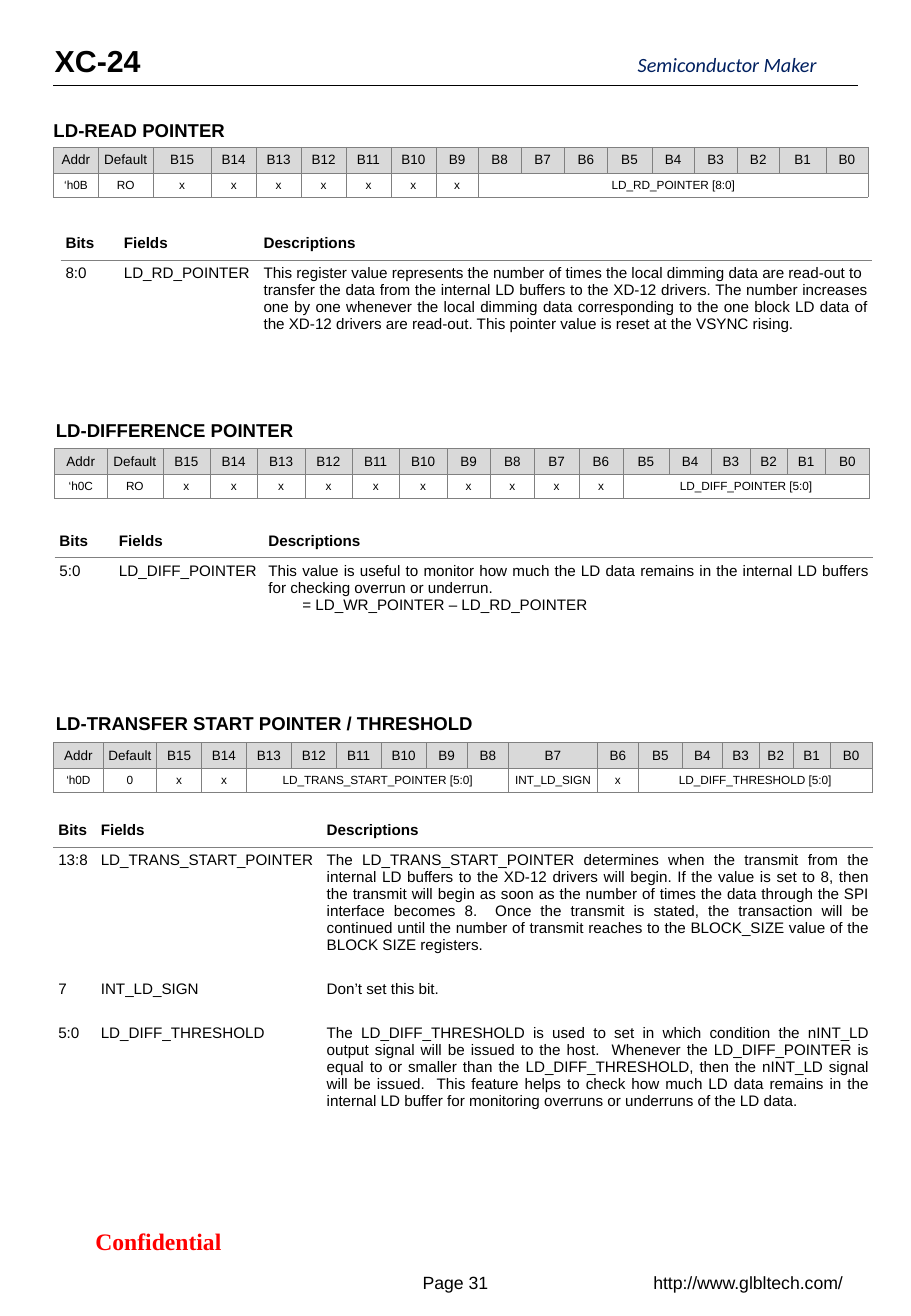
from dataclasses import dataclass

import pptx
import pptx.dml.color
import pptx.enum.shapes
import pptx.enum.text
import pptx.oxml
import pptx.oxml.ns
import pptx.util
from pptx.util import Inches

ALIGN = pptx.enum.text.PP_ALIGN
ANCHOR = pptx.enum.text.MSO_ANCHOR


@dataclass(frozen=True)
class Theme:
    font: str = "Arial"
    brand_font: str = "Calibri"
    notice_font: str = "Times New Roman"
    ink: str = "000000"
    navy: str = "002060"
    red: str = "FF0000"
    grid: str = "808080"
    header_fill: str = "D9D9D9"
    title: float = 18
    notice: float = 14
    brand: float = 12
    heading: float = 11
    footer: float = 10.5
    body: float = 9
    bit: float = 8
    value: float = 7


THEME = Theme()
CELL_INSET = 0.04
BIT_NAMES = ["Addr", "Default"] + [f"B{n}" for n in range(15, -1, -1)]
DETAIL_HEADER = ("Bits", "Fields", "Descriptions")
UNUSED = ("x", 1)


def style(tf, size, font=THEME.font, color=THEME.ink, bold=False, italic=False,
          align=ALIGN.LEFT):
    for p in tf.paragraphs:
        p.alignment = align
        for r in p.runs:
            r.font.size = pptx.util.Pt(size)
            r.font.name = font
            r.font.bold = bold
            r.font.italic = italic
            r.font.color.rgb = pptx.dml.color.RGBColor.from_string(color)


def set_insets(target, left, top, right, bottom):
    target.margin_left, target.margin_top = Inches(left), Inches(top)
    target.margin_right, target.margin_bottom = Inches(right), Inches(bottom)


def add_text(s, at, text, size, insets, **look):
    """Add a one-line label that grows with its text."""
    tf = s.shapes.add_textbox(*map(Inches, at)).text_frame
    tf.text = text
    tf.word_wrap = False
    tf.auto_size = pptx.enum.text.MSO_AUTO_SIZE.SHAPE_TO_FIT_TEXT
    set_insets(tf, *insets)
    style(tf, size, **look)


def add_footer(s, left, top, width, text, size=THEME.footer, **look):
    tf = s.shapes.add_textbox(*map(Inches, (left, top, width, 0.34))).text_frame
    tf.text = text
    tf.word_wrap = True
    tf.vertical_anchor = ANCHOR.MIDDLE
    style(tf, size, align=ALIGN.CENTER, **look)


def add_rule(s, left, right, y):
    line = s.shapes.add_connector(pptx.enum.shapes.MSO_CONNECTOR.STRAIGHT,
                                  Inches(left), Inches(y), Inches(right), Inches(y))
    line.line.color.rgb = pptx.dml.color.RGBColor.from_string(THEME.ink)
    line.line.width = pptx.util.Pt(0.5)
    sp_pr = line._element.spPr
    sp_pr.append(sp_pr.makeelement(pptx.oxml.ns.qn("a:effectLst"), {}))


def set_borders(cell, sides, width):
    """Draw the named sides (letters of LRTB) and clear the others."""
    tc_pr = cell._tc.get_or_add_tcPr()
    for side in "LRTB":
        paint = "<a:noFill/>"
        if side in sides:
            paint = f'<a:solidFill><a:srgbClr val="{THEME.grid}"/></a:solidFill>'
        tc_pr.append(pptx.oxml.parse_xml(
            f'<a:ln{side} {pptx.oxml.ns.nsdecls("a")} w="{pptx.util.Pt(width)}">'
            f"{paint}</a:ln{side}>"))


def add_grid(s, left, top, widths, heights):
    frame = s.shapes.add_table(len(heights), len(widths), Inches(left), Inches(top),
                               Inches(sum(widths)), Inches(sum(heights)))
    table = frame.table
    table.first_row = table.horz_banding = False
    for column, width in zip(table.columns, widths):
        column.width = Inches(width)
    for row, height in zip(table.rows, heights):
        row.height = Inches(height)
    return table


def fill_cell(cell, text, size, sides, line_width, fill=None, inset=CELL_INSET,
              anchor=ANCHOR.MIDDLE, **look):
    set_borders(cell, sides, line_width)
    if fill:
        cell.fill.solid()
        cell.fill.fore_color.rgb = pptx.dml.color.RGBColor.from_string(fill)
    else:
        cell.fill.background()
    cell.text = text
    cell.vertical_anchor = anchor
    set_insets(cell, *[inset] * 4)
    style(cell.text_frame, size, **look)


def add_register(s, left, top, widths, fields):
    """Add a bit map; fields holds (text, number of columns) pairs."""
    table = add_grid(s, left, top, widths, (0.21, 0.2))
    for col, name in enumerate(BIT_NAMES):
        fill_cell(table.cell(0, col), name, THEME.bit, "LRTB", 0.25, THEME.header_fill,
                  inset=0 if name == "B0" else CELL_INSET, align=ALIGN.CENTER)
    col = 0
    for text, span in fields:
        for offset in range(span):
            fill_cell(table.cell(1, col + offset), "" if offset else text, THEME.value,
                      "LRTB", 0.25, align=ALIGN.CENTER)
        if span > 1:
            table.cell(1, col).merge(table.cell(1, col + span - 1))
        col += span


def add_details(s, left, top, widths, heights, rows):
    table = add_grid(s, left, top, widths, heights)
    for i, row in enumerate((DETAIL_HEADER, *rows)):
        for col, text in enumerate(row):
            header = i == 0
            justified = col == 2 and not header
            fill_cell(table.cell(i, col), text, THEME.body,
                      {0: "B", 1: "T"}.get(i, ""), 0.5, bold=header,
                      anchor=ANCHOR.MIDDLE if header else ANCHOR.TOP,
                      align=ALIGN.JUSTIFY if justified else ALIGN.LEFT)
    return table


def add_heading(s, left, top, width, text):
    add_text(s, (left, top, width, 0.29), text, THEME.heading, (0, 0.05, 0.1, 0.05), bold=True)


def add_page_frame(s):
    add_text(s, (0.45, 0.3, 0.74, 0.4), "XC-24", THEME.title, (0, 0.05, 0, 0.05), bold=True)
    add_text(s, (5.25, 0.43, 1.6, 0.2), "Semiconductor Maker", THEME.brand, (0, 0, 0, 0),
             font=THEME.brand_font, color=THEME.navy, italic=True)
    add_rule(s, 0.44, 7.06, 0.7)
    add_footer(s, 0.34, 10.04, 1.93, "Confidential", THEME.notice,
               font=THEME.notice_font, color=THEME.red, bold=True)
    add_footer(s, 3.28, 10.38, 0.94, "Page 31")
    add_footer(s, 5.22, 10.38, 1.88, "http://www.glbltech.com/")


def add_read_pointer(s):
    add_heading(s, 0.44, 0.93, 1.52, "LD-READ POINTER")
    add_register(s, 0.44, 1.21, [0.37, 0.45, 0.48] + [0.37] * 5 + [
        0.35, 0.35, 0.36, 0.35, 0.37, 0.35, 0.35, 0.35, 0.38, 0.35],
        [("‘h0B", 1), ("RO", 1)] + [UNUSED] * 7 + [("LD_RD_POINTER [8:0]", 9)])
    add_details(s, 0.5, 1.86, (0.48, 1.15, 5.05), (0.28, 0.77), [
        ("8:0", "LD_RD_POINTER",
         "This register value represents the number of times the local dimming data are "
         "read-out to\ntransfer the data from the internal LD buffers to the XD-12 drivers. "
         "The number increases one by one whenever the local dimming data corresponding to "
         "the one block LD data of the XD-12 drivers are read-out. This pointer value is "
         "reset at the VSYNC rising.")])


def add_difference_pointer(s):
    add_heading(s, 0.46, 3.4, 2.07, "LD-DIFFERENCE POINTER")
    add_register(s, 0.45, 3.69, [0.43, 0.46] + [0.39] * 6 + [
        0.36, 0.36, 0.37, 0.36, 0.38, 0.35, 0.32, 0.3, 0.32, 0.36],
        [("‘h0C", 1), ("RO", 1)] + [UNUSED] * 10 + [("LD_DIFF_POINTER [5:0]", 6)])
    table = add_details(s, 0.45, 4.31, (0.49, 1.23, 5.02), (0.28, 0.62), [
        ("5:0", "LD_DIFF_POINTER",
         "This value is useful to monitor how much the LD data remains in the internal LD "
         "buffers for checking overrun or underrun.\n= LD_WR_POINTER – LD_RD_POINTER")])
    formula = table.cell(1, 2).text_frame.paragraphs[1]
    formula._p.get_or_add_pPr().set("marL", str(Inches(0.28)))


def add_transfer_start(s):
    add_heading(s, 0.46, 5.81, 3.57, "LD-TRANSFER START POINTER / THRESHOLD")
    add_register(s, 0.44, 6.11, [0.41, 0.44] + [0.37] * 6 + [
        0.34, 0.34, 0.73, 0.34, 0.36, 0.33, 0.3, 0.28, 0.31, 0.34],
        [("‘h0D", 1), ("0", 1), UNUSED, UNUSED, ("LD_TRANS_START_POINTER [5:0]", 6),
         ("INT_LD_SIGN", 1), UNUSED, ("LD_DIFF_THRESHOLD [5:0]", 6)])
    add_details(s, 0.44, 6.69, (0.35, 1.86, 4.54), (0.28, 1.06, 0.36, 0.77), [
        ("13:8", "LD_TRANS_START_POINTER",
         "The LD_TRANS_START_POINTER determines when the transmit from the internal LD "
         "buffers to the XD-12 drivers will begin. If the value is set to 8, then the "
         "transmit will begin as soon as the number of times the data through the SPI "
         "interface becomes 8.  Once the transmit is stated, the transaction will be "
         "continued until the number of transmit reaches to the BLOCK_SIZE value of the "
         "BLOCK SIZE registers."),
        ("7", "INT_LD_SIGN", "Don’t set this bit."),
        ("5:0", "LD_DIFF_THRESHOLD",
         "The LD_DIFF_THRESHOLD is used to set in which condition the nINT_LD output signal "
         "will be issued to the host.  Whenever the LD_DIFF_POINTER is equal to or smaller "
         "than the LD_DIFF_THRESHOLD, then the nINT_LD signal will be issued.  This feature "
         "helps to check how much LD data remains in the internal LD buffer for monitoring "
         "overruns or underruns of the LD data.")])


def main():
    prs = pptx.Presentation()
    prs.slide_width, prs.slide_height = Inches(7.5), Inches(10.83)
    s = prs.slides.add_slide(prs.slide_layouts[6])
    add_page_frame(s)
    add_read_pointer(s)
    add_difference_pointer(s)
    add_transfer_start(s)
    prs.save("out.pptx")


if __name__ == "__main__":
    main()
